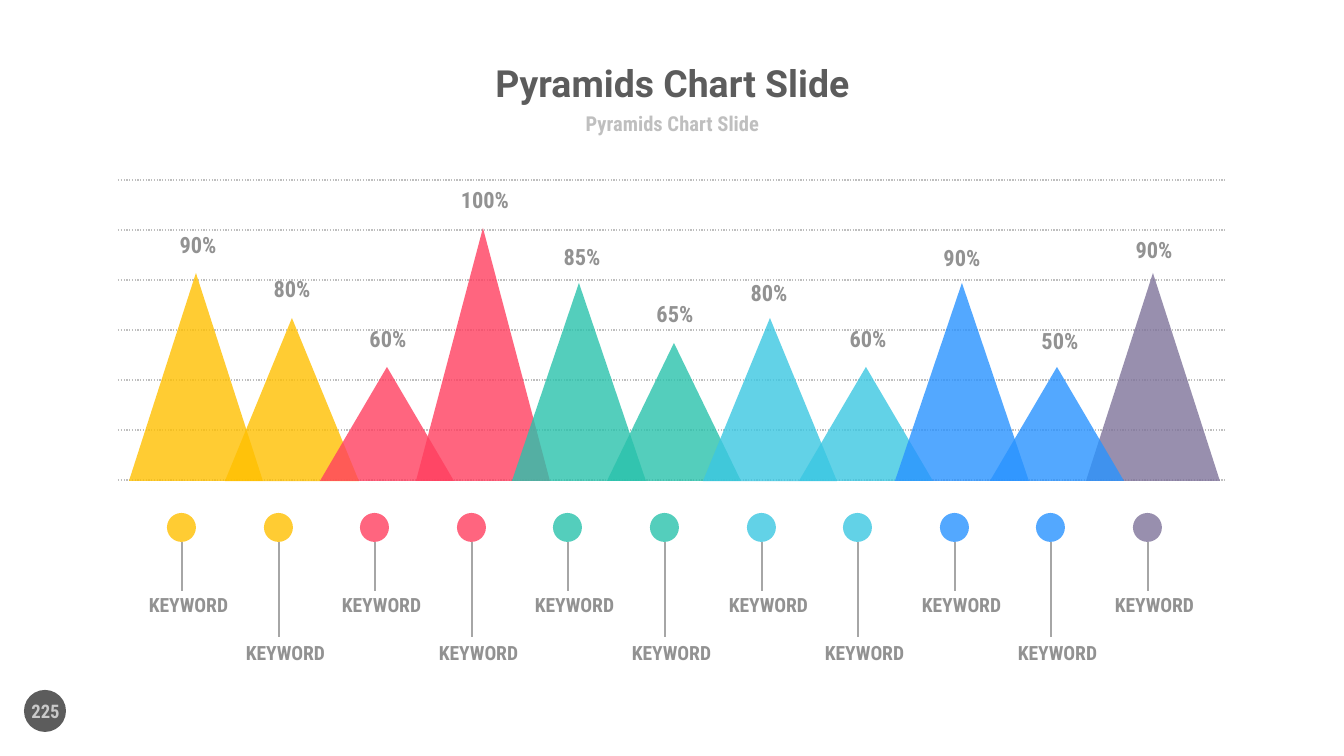
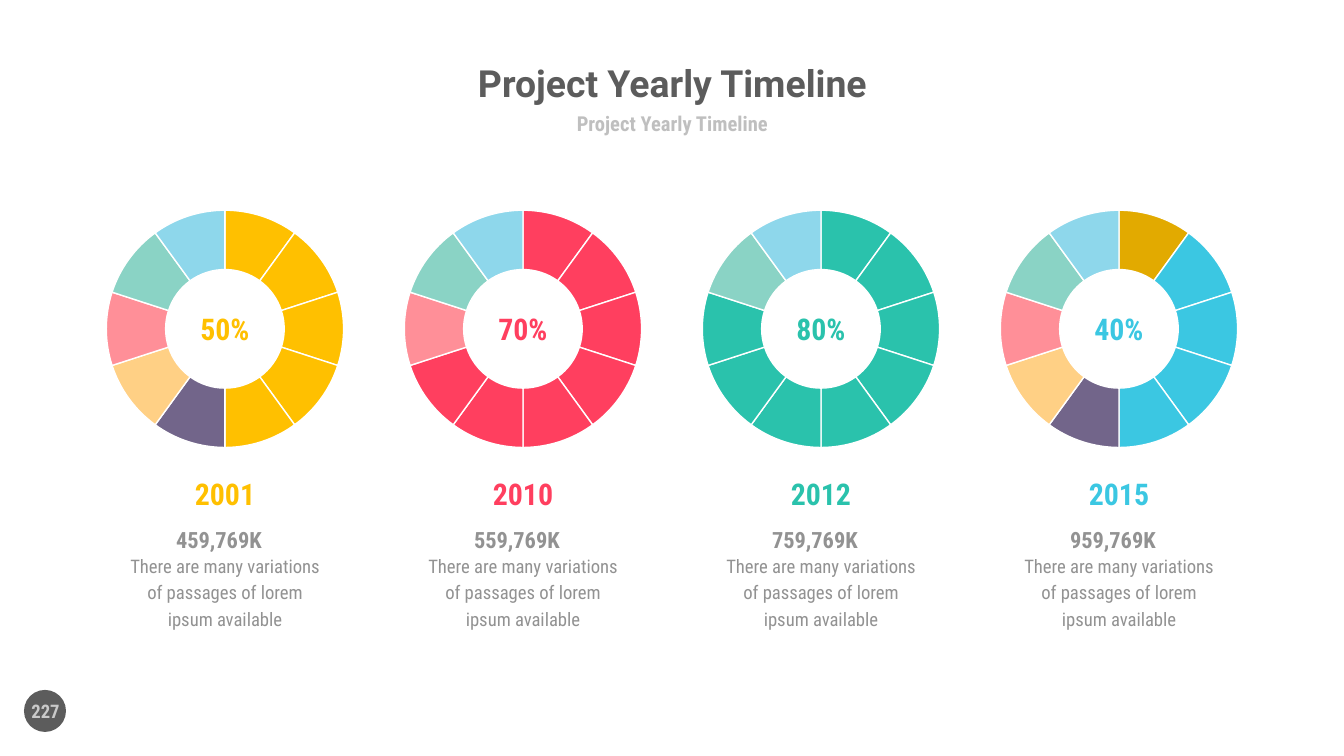
import pptx
import pptx.chart.data
import pptx.dml.color
import pptx.enum.chart
import pptx.enum.dml
import pptx.enum.shapes
import pptx.enum.text
import pptx.oxml
import pptx.oxml.ns
import pptx.util
from lxml import etree

EMU_PER_PX = 914400 / 134.4
COLOURS = {
    "title": "5C5C5C", "subtitle": "BFBFBF", "body": "929292",
    "page": "C9C9C9", "grid": "BFBFBF", "stem": "A6A6A6", "white": "FFFFFF",
    "chart_text": "262626",
    "yellow": "FFC000", "red": "FF3F5F", "green": "2AC2AC",
    "cyan": "3BC7E2", "blue": "2993FF", "purple": "7F739A",
    "dark_yellow": "E2AA00", "dark_purple": "72658A", "pale_yellow": "FFD085",
    "pale_red": "FF8F98", "pale_green": "8AD3C5", "pale_cyan": "8ED7EB",
}
HEADING_FONT = "Roboto"
BODY_FONT = "Roboto Condensed"
SHAPES = pptx.enum.shapes.MSO_SHAPE
ANCHORS = pptx.enum.text.MSO_ANCHOR

# Pyramids in drawing order: column, label, colour, height, label centre, label top
BASELINE = 481
LABEL_WIDTH = 90
PYRAMIDS = [
    (0, "90%", "yellow", 208, 198, 225), (1, "80%", "yellow", 163, 292, 269),
    (3, "100%", "red", 253, 485, 180), (2, "60%", "red", 114, 388, 319),
    (4, "85%", "green", 198, 582, 237), (5, "65%", "green", 138, 675, 294),
    (6, "80%", "cyan", 163, 769, 273), (7, "60%", "cyan", 114, 868, 319),
    (8, "90%", "blue", 198, 962, 238), (10, "90%", "purple", 208, 1154, 230),
    (9, "50%", "blue", 114, 1060, 321),
]
KEYWORD_COLOURS = ["yellow", "yellow", "red", "red", "green", "green",
                   "cyan", "cyan", "blue", "blue", "purple"]

# Years: year, share, amount, colour, slice colours
REST = ["dark_purple", "pale_yellow", "pale_red", "pale_green", "pale_cyan"]
YEARS = [
    ("2001", "50%", "459,769K", "yellow", ["yellow"] * 5 + REST),
    ("2010", "70%", "559,769K", "red", ["red"] * 7 + REST[2:]),
    ("2012", "80%", "759,769K", "green", ["green"] * 8 + REST[3:]),
    ("2015", "40%", "959,769K", "cyan", ["dark_yellow"] + ["cyan"] * 4 + REST),
]
DESCRIPTION = "There are many variations\nof passages of lorem\nipsum available"


def px(length):
    return pptx.util.Emu(round(length * EMU_PER_PX))


def rgb(name):
    return pptx.dml.color.RGBColor.from_string(COLOURS[name])


def add_text(slide, box, text, size, colour, bold=True, font=BODY_FONT,
             anchor=ANCHORS.TOP, inset=True, wrap=False, space=0):
    text_box = slide.shapes.add_textbox(*map(px, box))
    text_frame = text_box.text_frame
    text_frame.text = text
    text_frame.word_wrap = wrap
    text_frame.vertical_anchor = anchor
    if not inset:
        text_frame.margin_left = text_frame.margin_right = 0
        text_frame.margin_top = text_frame.margin_bottom = 0
    for index, paragraph in enumerate(text_frame.paragraphs):
        paragraph.alignment = pptx.enum.text.PP_ALIGN.CENTER
        if index and space:
            paragraph.space_before = pptx.util.Pt(space)
        for run in paragraph.runs:
            run.font.name = font
            run.font.size = pptx.util.Pt(size)
            run.font.bold = bold
            run.font.color.rgb = rgb(colour)


def add_filled_shape(slide, kind, box, colour, opacity=100):
    shape = slide.shapes.add_shape(kind, *map(px, box))
    shape.shadow.inherit = False
    shape.fill.solid()
    shape.fill.fore_color.rgb = rgb(colour)
    shape.line.fill.background()
    if opacity < 100:
        fill_colour = shape._element.spPr.find(".//" + pptx.oxml.ns.qn("a:srgbClr"))
        alpha = etree.SubElement(fill_colour, pptx.oxml.ns.qn("a:alpha"))
        alpha.set("val", str(opacity * 1000))


def add_line(slide, start, end, colour, dotted=False):
    connector = slide.shapes.add_connector(
        pptx.enum.shapes.MSO_CONNECTOR.STRAIGHT, *map(px, start + end))
    connector.line.color.rgb = rgb(colour)
    connector.line.width = pptx.util.Pt(0.75)
    if dotted:
        connector.line.dash_style = pptx.enum.dml.MSO_LINE.ROUND_DOT
    etree.SubElement(connector._element.spPr, pptx.oxml.ns.qn("a:effectLst"))


def add_base_slide(presentation, title, page):
    """Add a blank slide with the shared heading and page badge."""
    slide = presentation.slides.add_slide(presentation.slide_layouts[6])
    add_filled_shape(slide, SHAPES.OVAL, (24, 690, 42, 42), "title")
    add_text(slide, (258, 56, 829, 53), title, 20, "title", font=HEADING_FONT,
             anchor=ANCHORS.MIDDLE, inset=False)
    add_text(slide, (370, 108, 605, 30), title, 11, "subtitle",
             anchor=ANCHORS.MIDDLE, inset=False)
    add_text(slide, (12, 691, 67, 40), page, 10, "page",
             anchor=ANCHORS.MIDDLE, wrap=True)
    return slide


def add_pyramid(slide, column, label, colour, height, label_centre, label_top):
    left = 129 + round(95.7 * column)
    add_filled_shape(slide, SHAPES.ISOSCELES_TRIANGLE,
                     (left, BASELINE - height, 134, height), colour, 80)
    add_text(slide, (label_centre - LABEL_WIDTH // 2, label_top, LABEL_WIDTH, 40),
             label, 12, "body")


def add_keyword(slide, column, colour):
    left = 167 + round(96.6 * column)
    centre = left + 15
    stem_end, text_top = (637, 641) if column % 2 else (591, 593)
    add_filled_shape(slide, SHAPES.OVAL, (left, 513, 29, 29), colour, 80)
    add_line(slide, (centre, 542), (centre, stem_end), "stem")
    add_text(slide, (left - 30, text_top, 103, 24), "KEYWORD", 10.5, "body",
             inset=False)


def add_doughnut(slide, box, slice_colours):
    chart_data = pptx.chart.data.CategoryChartData()
    chart_data.categories = [str(number + 1) for number in range(len(slice_colours))]
    chart_data.add_series("Series 1", [10] * len(slice_colours))
    chart = slide.shapes.add_chart(pptx.enum.chart.XL_CHART_TYPE.DOUGHNUT,
                                   *map(px, box), chart_data).chart
    chart.has_legend = False
    chart.has_title = False
    chart.font.name = BODY_FONT
    chart.font.size = pptx.util.Pt(18)
    chart.font.color.rgb = rgb("chart_text")
    plot = chart.plots[0]
    plot.vary_by_categories = True
    for index, colour in enumerate(slice_colours):
        point_format = plot.series[0].points[index].format
        point_format.fill.solid()
        point_format.fill.fore_color.rgb = rgb(colour)
        point_format.line.color.rgb = rgb("white")
        point_format.line.width = pptx.util.Pt(0.75)

    # Hole size and a fixed square plot area
    qn = pptx.oxml.ns.qn
    plot_area = chart._chartSpace.find(".//" + qn("c:plotArea"))
    plot_area.find(".//" + qn("c:holeSize")).set("val", "54")
    for old_layout in plot_area.findall(qn("c:layout")):
        plot_area.remove(old_layout)
    layout = etree.Element(qn("c:layout"))
    manual = etree.SubElement(layout, qn("c:manualLayout"))
    for tag, value in [("layoutTarget", "inner"), ("xMode", "edge"),
                       ("yMode", "edge"), ("x", "0.07"), ("y", "0.09"),
                       ("w", "0.86"), ("h", "0.82")]:
        etree.SubElement(manual, qn("c:" + tag)).set("val", value)
    plot_area.insert(0, layout)


def add_year(slide, centre, year, share, amount, colour, slice_colours):
    add_doughnut(slide, (centre - 138, 183, 276, 292), slice_colours)
    add_text(slide, (centre - 47, 304, 94, 50), share, 16, colour,
             anchor=ANCHORS.MIDDLE, wrap=True)
    add_text(slide, (centre - 34, 476, 68, 36), year, 16, colour, inset=False)
    add_text(slide, (centre - 55, 526, 98, 27), amount, 12, "body",
             anchor=ANCHORS.MIDDLE, inset=False)
    add_text(slide, (centre - 109, 554, 218, 77), DESCRIPTION, 10, "body",
             bold=False, anchor=ANCHORS.MIDDLE, inset=False, wrap=True, space=2)


def build_pyramids(presentation):
    slide = add_base_slide(presentation, "Pyramids Chart Slide", "225")
    for row in range(7):
        y = 180 + 50 * row
        add_line(slide, (118, y), (1226, y), "grid", dotted=True)
    for pyramid in PYRAMIDS:
        add_pyramid(slide, *pyramid)
    for column, colour in enumerate(KEYWORD_COLOURS):
        add_keyword(slide, column, colour)


def build_timeline(presentation):
    slide = add_base_slide(presentation, "Project Yearly Timeline", "227")
    for column, year in enumerate(YEARS):
        add_year(slide, 225 + 298 * column, *year)


def main():
    presentation = pptx.Presentation()
    presentation.slide_width = px(1344)
    presentation.slide_height = px(756)
    build_pyramids(presentation)
    build_timeline(presentation)
    presentation.save("out.pptx")


if __name__ == "__main__":
    main()
